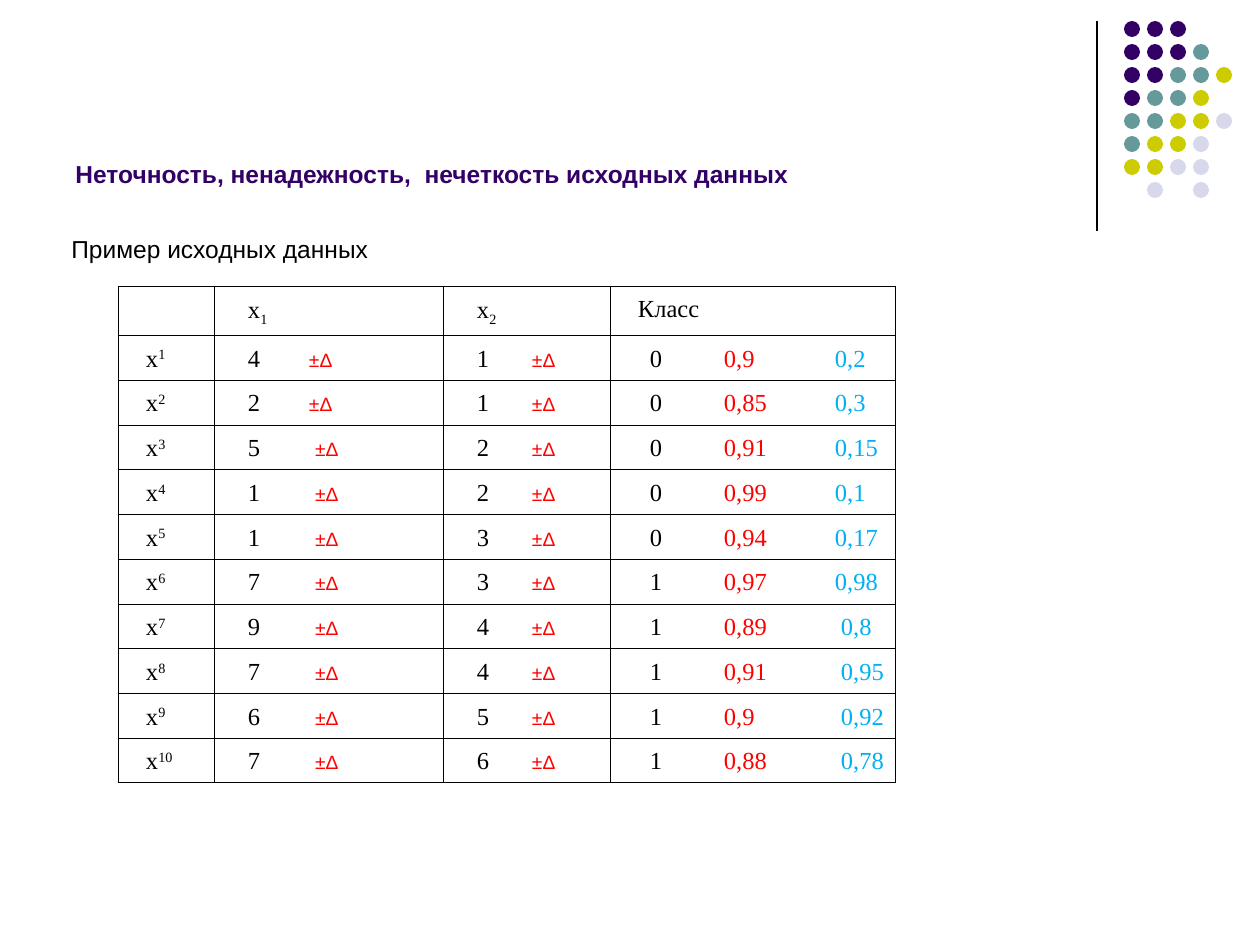
"""Build the slide on inexact, unreliable and fuzzy source data."""
import lxml.etree
import pptx
import pptx.dml.color
import pptx.enum.shapes
import pptx.enum.text
import pptx.oxml.ns
import pptx.util

SCALE = 914400 / 126
COLORS = {
    "black": "000000",
    "purple": "330066",
    "teal": "669999",
    "olive": "CCCC00",
    "lilac": "D8D8EC",
    "red": "FF0000",
    "blue": "00B0F0",
}
DOT_COLORS = {"p": "purple", "t": "teal", "o": "olive", "l": "lilac"}
DOT_ROWS = ["ppp", "pppt", "pptto", "ptto", "ttool", "tool", "ooll", " l l"]
SERIF, SANS = "Times New Roman", "Arial"
COL_WIDTHS = [96, 229, 167, 285]
SAMPLES = [
    ("4", "1", "0", "0,9", "0,2"),
    ("2", "1", "0", "0,85", "0,3"),
    ("5", "2", "0", "0,91", "0,15"),
    ("1", "2", "0", "0,99", "0,1"),
    ("1", "3", "0", "0,94", "0,17"),
    ("7", "3", "1", "0,97", "0,98"),
    ("9", "4", "1", "0,89", "0,8"),
    ("7", "4", "1", "0,91", "0,95"),
    ("6", "5", "1", "0,9", "0,92"),
    ("7", "6", "1", "0,88", "0,78"),
]


def px(n):
    return pptx.util.Emu(round(n * SCALE))


def rgb(name):
    return pptx.dml.color.RGBColor.from_string(COLORS[name])


def sub(parent, tag, **attrs):
    return lxml.etree.SubElement(parent, pptx.oxml.ns.qn(tag), attrs)


def set_font(font, name, size, color, bold=False):
    font.name = name
    font.size = pptx.util.Pt(size)
    font.bold = bold
    font.color.rgb = rgb(color)


def add_rule(s, x, top, bottom):
    line = s.shapes.add_connector(
        pptx.enum.shapes.MSO_CONNECTOR.STRAIGHT, px(x), px(top), px(x), px(bottom))
    line.line.color.rgb = rgb("black")
    line.line.width = pptx.util.Pt(0.75)
    sub(line._element.spPr, "a:effectLst")


def add_dots(s, left, top, pitch, size):
    group = s.shapes.add_group_shape()
    for i, row in enumerate(DOT_ROWS):
        for j, code in enumerate(row):
            if code == " ":
                continue
            sp = group.shapes.add_shape(
                pptx.enum.shapes.MSO_SHAPE.OVAL,
                px(left + j * pitch), px(top + i * pitch), px(size), px(size))
            sp.shadow.inherit = False
            sp.fill.solid()
            sp.fill.fore_color.rgb = rgb(DOT_COLORS[code])
            sp.line.fill.background()


def add_text(s, box, text, color, anchor, bold=False):
    tf = s.shapes.add_textbox(*map(px, box)).text_frame
    tf.word_wrap = True
    tf.vertical_anchor = anchor
    p = tf.paragraphs[0]
    p.text = text
    set_font(p.font, SANS, 14, color, bold)


def fill_cell(cell, indent, runs, tabs=()):
    """Write runs of (text, color, font, size, baseline) into a bordered cell."""
    cell.margin_left, cell.margin_right = px(indent), px(10)
    cell.margin_top, cell.margin_bottom = px(6), px(5)
    tc_pr = cell._tc.get_or_add_tcPr()
    for side in ("a:lnL", "a:lnR", "a:lnT", "a:lnB"):
        ln = sub(tc_pr, side, w=str(pptx.util.Pt(0.45)))
        sub(sub(ln, "a:solidFill"), "a:srgbClr", val=COLORS["black"])
    cell.fill.background()
    p = cell.text_frame.paragraphs[0]
    p.line_spacing = 1.15
    if tabs:
        tab_list = sub(p._p.get_or_add_pPr(), "a:tabLst")
        for pos in tabs:
            sub(tab_list, "a:tab", pos=str(px(pos)), algn="l")
    if not runs:
        set_font(p.font, SERIF, 14, "black")
    for text, color, font, size, baseline in runs:
        r = p.add_run()
        r.text = text
        set_font(r.font, font, size, color)
        if baseline:
            r._r.get_or_add_rPr().set("baseline", str(baseline * 1000))


def serif(text, color="black", baseline=0):
    return text, color, SERIF, 14, baseline


def add_data_table(s, left, top, header_height, body_height):
    n = len(SAMPLES)
    table = s.shapes.add_table(
        n + 1, len(COL_WIDTHS), px(left), px(top),
        px(sum(COL_WIDTHS)), px(header_height + body_height)).table
    table.first_row = table.horz_banding = False
    for col, width in zip(table.columns, COL_WIDTHS):
        col.width = px(width)
    for i, row in enumerate(table.rows):
        row.height = px(body_height / n if i else header_height)

    fill_cell(table.cell(0, 0), 10, [])
    for j in (1, 2):
        fill_cell(table.cell(0, j), 34, [serif("x"), serif(str(j), baseline=-25)])
    fill_cell(table.cell(0, 3), 28, [serif("Класс")])

    delta = ("±Δ", "red", SANS, 11, 0)
    for i, (x1, x2, label, trust, degree) in enumerate(SAMPLES, 1):
        fill_cell(table.cell(i, 0), 28, [serif("x"), serif(str(i), baseline=30)])
        fill_cell(table.cell(i, 1), 34, [serif(x1 + "\t"), delta],
                  [61 if i <= 2 else 67])
        fill_cell(table.cell(i, 2), 34, [serif(x2 + "\t"), delta], [55])
        fill_cell(table.cell(i, 3), 40,
                  [serif(label + "\t"), serif(trust + "\t", "red"),
                   serif(degree, "blue")],
                  [74, 185 if i <= 6 else 191])


def main():
    prs = pptx.Presentation()
    prs.slide_width, prs.slide_height = px(1260), px(945)
    s = prs.slides.add_slide(prs.slide_layouts[6])
    anchor = pptx.enum.text.MSO_ANCHOR
    add_rule(s, 1097, 21, 231)
    add_dots(s, left=1124, top=21, pitch=23, size=16)
    add_text(s, (63, 16, 1040, 179),
             "Неточность, ненадежность,  нечеткость исходных данных",
             "purple", anchor.BOTTOM, bold=True)
    add_text(s, (59, 228, 1134, 607), "Пример исходных данных",
             "black", anchor.TOP)
    add_data_table(s, left=118, top=286, header_height=48, body_height=438)
    prs.save("out.pptx")


if __name__ == "__main__":
    main()
